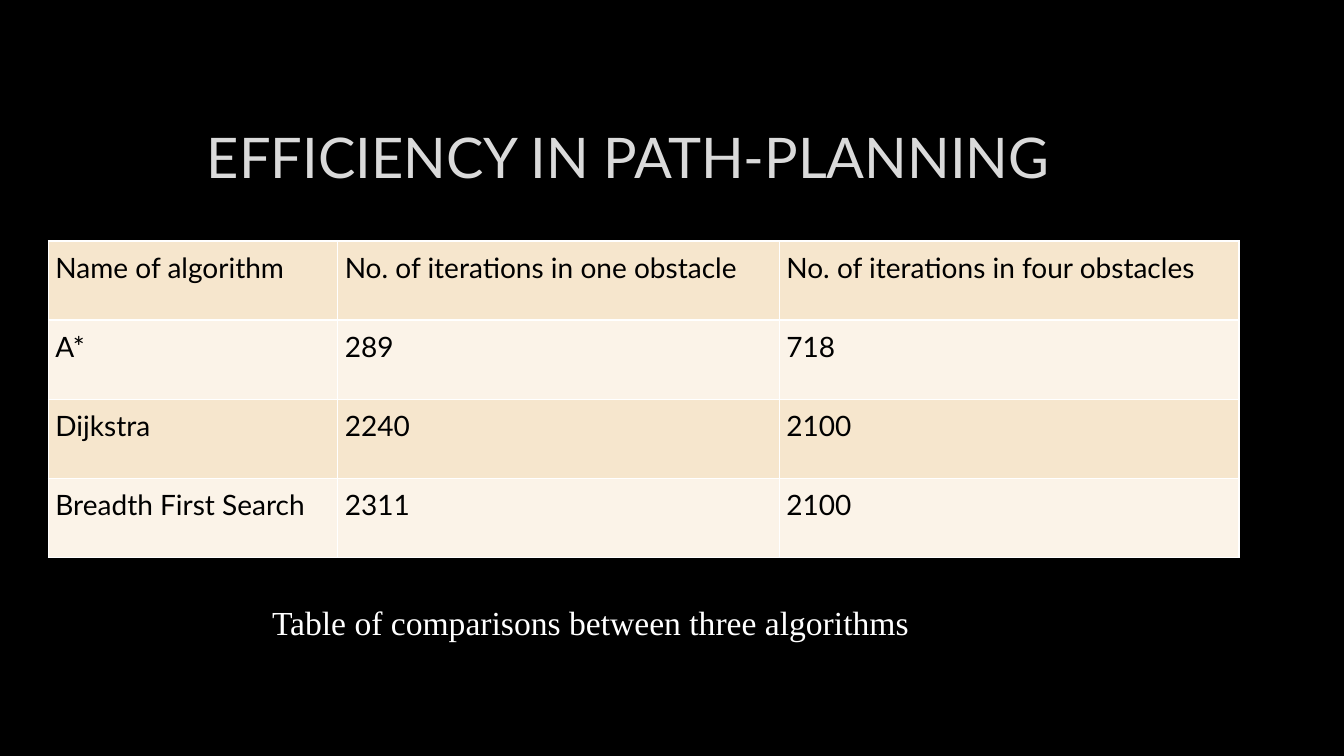
from dataclasses import dataclass

from lxml import etree
from pptx import Presentation
from pptx.dml.color import RGBColor
from pptx.enum.text import MSO_ANCHOR, PP_ALIGN
from pptx.oxml.ns import qn
from pptx.util import Inches, Pt

CENTER, JUSTIFY = PP_ALIGN.CENTER, PP_ALIGN.JUSTIFY
MIDDLE, TOP = MSO_ANCHOR.MIDDLE, MSO_ANCHOR.TOP


@dataclass(frozen=True)
class Theme:
    back: str = "000000"
    title: str = "DADADA"
    ink: str = "000000"
    note: str = "FFFFFF"
    rule: str = "FFFFFF"
    bands: tuple = ("F6E6CD", "FBF3E8")
    sans: str = "Lato"
    serif: str = "Times New Roman"
    title_size: int = 40
    cell_size: int = 20
    note_size: int = 24


THEME = Theme()
COLS = (2.87, 4.38, 4.56)
ROWS = (
    ("Name of algorithm", "No. of iterations in one obstacle",
     "No. of iterations in four obstacles"),
    ("A*", "289", "718"),
    ("Dijkstra", "2240", "2100"),
    ("Breadth First Search", "2311", "2100"),
)


def write(frame, text, *, size, color, font, align, anchor=MIDDLE,
          space=1.0, wrap=True):
    frame.word_wrap = wrap
    frame.vertical_anchor = anchor
    para = frame.paragraphs[0]
    para.alignment = align
    para.line_spacing = space
    run = para.add_run()
    run.text = text
    run.font.size = Pt(size)
    run.font.name = font
    run.font.color.rgb = RGBColor.from_string(color)


def add_label(slide, box, text, **style):
    shape = slide.shapes.add_textbox(*map(Inches, box))
    write(shape.text_frame, text, **style)


def add_rules(cell, color, width):
    # Borders must come before the fill in the cell properties
    props = cell._tc.get_or_add_tcPr()
    for spot, side in enumerate(("lnL", "lnR", "lnT", "lnB")):
        line = etree.Element(qn(f"a:{side}"), w=str(Pt(width)))
        fill = etree.SubElement(line, qn("a:solidFill"))
        etree.SubElement(fill, qn("a:srgbClr"), val=color)
        props.insert(spot, line)


def add_grid(slide, box):
    shape = slide.shapes.add_table(len(ROWS), len(COLS), *map(Inches, box))
    table = shape.table
    for col, width in zip(table.columns, COLS):
        col.width = Inches(width)
    for r, row in enumerate(ROWS):
        table.rows[r].height = Inches(box[3] / len(ROWS))
        for c, text in enumerate(row):
            cell = table.cell(r, c)
            cell.margin_left = cell.margin_right = Inches(0.07)
            cell.margin_top = cell.margin_bottom = Inches(0.07)
            cell.fill.solid()
            cell.fill.fore_color.rgb = RGBColor.from_string(THEME.bands[r % 2])
            add_rules(cell, THEME.rule, 1)
            write(cell.text_frame, text, size=THEME.cell_size,
                  color=THEME.ink, font=THEME.sans, align=JUSTIFY,
                  anchor=TOP, space=1.07)
            cell.vertical_anchor = TOP


def main():
    deck = Presentation()
    deck.slide_width, deck.slide_height = Inches(13.33), Inches(7.5)
    slide = deck.slides.add_slide(deck.slide_layouts[6])
    slide.background.fill.solid()
    slide.background.fill.fore_color.rgb = RGBColor.from_string(THEME.back)

    # Title
    add_label(slide, (0.48, 0.82, 11.5, 1.45), "EFFICIENCY IN PATH-PLANNING",
              size=THEME.title_size, color=THEME.title, font=THEME.sans,
              align=CENTER)
    # Comparison table
    add_grid(slide, (0.48, 2.39, sum(COLS), 3.14))
    # Caption
    add_label(slide, (2.6, 5.92, 6.57, 0.5),
              "Table of comparisons between three algorithms",
              size=THEME.note_size, color=THEME.note, font=THEME.serif,
              align=JUSTIFY, wrap=False)
    deck.save("out.pptx")


if __name__ == "__main__":
    main()
